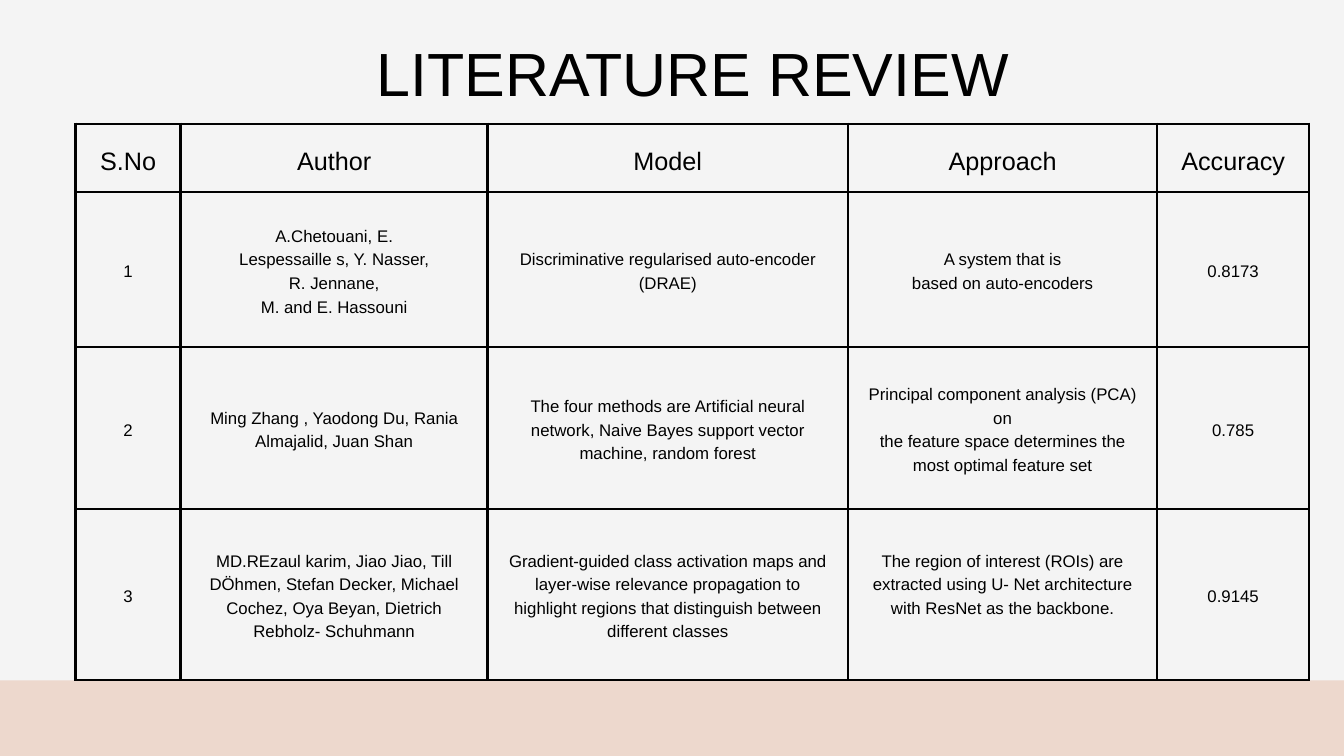
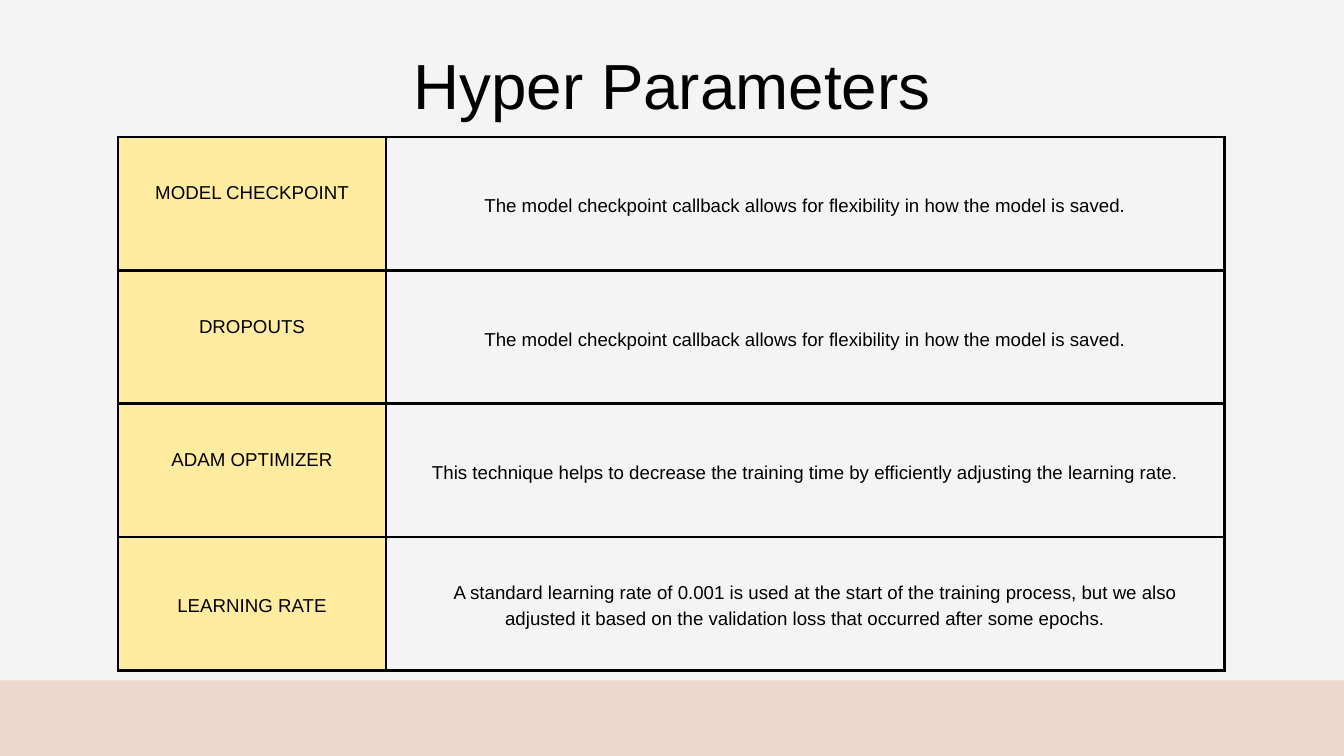
import pptx
import pptx.dml.color
import pptx.enum.shapes
import pptx.enum.text
import pptx.oxml
import pptx.oxml.ns
import pptx.util

Cm = pptx.util.Cm
Pt = pptx.util.Pt
RGBColor = pptx.dml.color.RGBColor
Anchor = pptx.enum.text.MSO_ANCHOR

INK = RGBColor(0x00, 0x00, 0x00)
PAPER = RGBColor(0xF4, 0xF4, 0xF4)
BLUSH = RGBColor(0xED, 0xD8, 0xCD)
CREAM = RGBColor(0xFF, 0xEC, 0xA0)
FONT = "Arial"
WIDE, HIGH, BAND = 50.8, 28.58, 2.86
INSET = Cm(0.53)
RULE = Pt(3)

# Boxes, columns and rows are in centimetres; sizes and leading in points.
# "raised" lists the (row, column) of cells that sit half a line above the middle.
SLIDES = [
    {
        "title": "LITERATURE REVIEW",
        "box": (11, 1.68, 30.38, 7.14), "size": 65.3, "lead": 68.6,
        "spot": (2.85, 4.68),
        "cols": [3.98, 11.6, 13.62, 11.69, 5.74],
        "rows": [2.58, 5.86, 6.12, 6.47],
        "head": (27, 37.8), "body": (18, 25.2),
        "tint": PAPER, "raised": [(3, 3)], "indent": {},
        "cells": [
            ("S.No", "Author", "Model", "Approach", "Accuracy"),
            ("1",
             "A.Chetouani, E.\nLespessaille s, Y. Nasser,\nR. Jennane,\nM. and E. Hassouni",
             "Discriminative regularised auto-encoder (DRAE)",
             "A system that is\nbased on auto-encoders",
             "0.8173"),
            ("2",
             "Ming Zhang , Yaodong Du, Rania Almajalid, Juan Shan",
             "The four methods are Artificial neural network, Naive Bayes "
             "support vector machine, random forest",
             "Principal component analysis (PCA) on\n"
             "the feature space determines the most optimal feature set",
             "0.785"),
            ("3",
             "MD.REzaul karim, Jiao Jiao, Till DÖhmen, Stefan Decker, "
             "Michael Cochez, Oya Beyan, Dietrich Rebholz- Schuhmann",
             "Gradient-guided class activation maps and layer-wise relevance "
             "propagation to highlight regions that distinguish between "
             "different classes",
             "The region of interest (ROIs) are extracted using U- Net "
             "architecture with ResNet as the backbone.",
             "0.9145"),
        ],
    },
    {
        "title": "Hyper Parameters",
        "box": (10.21, 2.08, 30.38, 2.59), "size": 68.3, "lead": 71.8,
        "spot": (4.47, 5.18),
        "cols": [10.11, 31.7],
        "rows": [5.04] * 4,
        "head": (20, 28), "body": (20, 28),
        "tint": CREAM, "raised": [(0, 0), (1, 0), (2, 0)],
        "indent": {(3, 1): Pt(22)},
        "cells": [
            ("MODEL CHECKPOINT",
             "The model checkpoint callback allows for flexibility in how the model is saved."),
            ("DROPOUTS",
             "The model checkpoint callback allows for flexibility in how the model is saved."),
            ("ADAM OPTIMIZER",
             "This technique helps to decrease the training time by "
             "efficiently adjusting the learning rate."),
            ("LEARNING RATE",
             "A standard learning rate of 0.001 is used at the start of the "
             "training process, but we also adjusted it based on the "
             "validation loss that occurred after some epochs."),
        ],
    },
]


def write(frame, text, size, lead, indent=0):
    """Fill a text frame, one centred paragraph for each line of text."""
    frame.word_wrap = True
    for i, line in enumerate(text.split("\n")):
        para = frame.paragraphs[0] if i == 0 else frame.add_paragraph()
        para.alignment = pptx.enum.text.PP_ALIGN.CENTER
        para.line_spacing = Pt(lead)
        para.space_before = para.space_after = Pt(0)
        if indent:
            props = para._p.get_or_add_pPr()
            props.set("marL", "0")
            props.set("indent", str(indent))
        run = para.add_run()
        run.text = line
        run.font.name = FONT
        run.font.size = Pt(size)
        run.font.color.rgb = INK


def pad(item, inset):
    item.margin_left = item.margin_right = inset
    item.margin_top = item.margin_bottom = inset


def edge(cell):
    """Rule all four sides; the lines must come before the fill in the XML."""
    props = cell._tc.get_or_add_tcPr()
    for i, side in enumerate("LRTB"):
        line = pptx.oxml.parse_xml(
            f'<a:ln{side} {pptx.oxml.ns.nsdecls("a")} w="{RULE}">'
            f'<a:solidFill><a:srgbClr val="{INK}"/></a:solidFill></a:ln{side}>')
        props.insert(i, line)


def add_band(slide):
    band = slide.shapes.add_shape(
        pptx.enum.shapes.MSO_SHAPE.RECTANGLE,
        Cm(0), Cm(HIGH - BAND), Cm(WIDE), Cm(BAND))
    band.shadow.inherit = False
    band.fill.solid()
    band.fill.fore_color.rgb = BLUSH
    band.line.fill.background()


def add_title(slide, data):
    title = slide.shapes.title
    title.left, title.top, title.width, title.height = map(Cm, data["box"])
    frame = title.text_frame
    pad(frame, 0)
    frame.vertical_anchor = Anchor.TOP
    frame.auto_size = pptx.enum.text.MSO_AUTO_SIZE.NONE
    write(frame, data["title"], data["size"], data["lead"])


def add_grid(slide, data):
    cols, rows = data["cols"], data["rows"]
    left, top = data["spot"]
    grid = slide.shapes.add_table(
        len(rows), len(cols), Cm(left), Cm(top),
        Cm(sum(cols)), Cm(sum(rows))).table
    grid.first_row = grid.horz_banding = False
    for col, width in zip(grid.columns, cols):
        col.width = Cm(width)
    for row, height in zip(grid.rows, rows):
        row.height = Cm(height)
    for r, texts in enumerate(data["cells"]):
        size, lead = data["body"] if r else data["head"]
        for c, text in enumerate(texts):
            cell = grid.cell(r, c)
            pad(cell, INSET)
            if (r, c) in data["raised"]:
                cell.margin_bottom = INSET + Pt(lead)
            cell.vertical_anchor = Anchor.MIDDLE
            cell.fill.solid()
            cell.fill.fore_color.rgb = PAPER if c else data["tint"]
            edge(cell)
            write(cell.text_frame, text, size, lead,
                  indent=data["indent"].get((r, c), 0))


def main():
    deck = pptx.Presentation()
    deck.slide_width, deck.slide_height = Cm(WIDE), Cm(HIGH)
    back = deck.slide_master.background.fill
    back.solid()
    back.fore_color.rgb = PAPER
    for data in SLIDES:
        slide = deck.slides.add_slide(deck.slide_layouts[5])
        add_band(slide)
        add_title(slide, data)
        add_grid(slide, data)
    deck.save("out.pptx")


if __name__ == "__main__":
    main()
